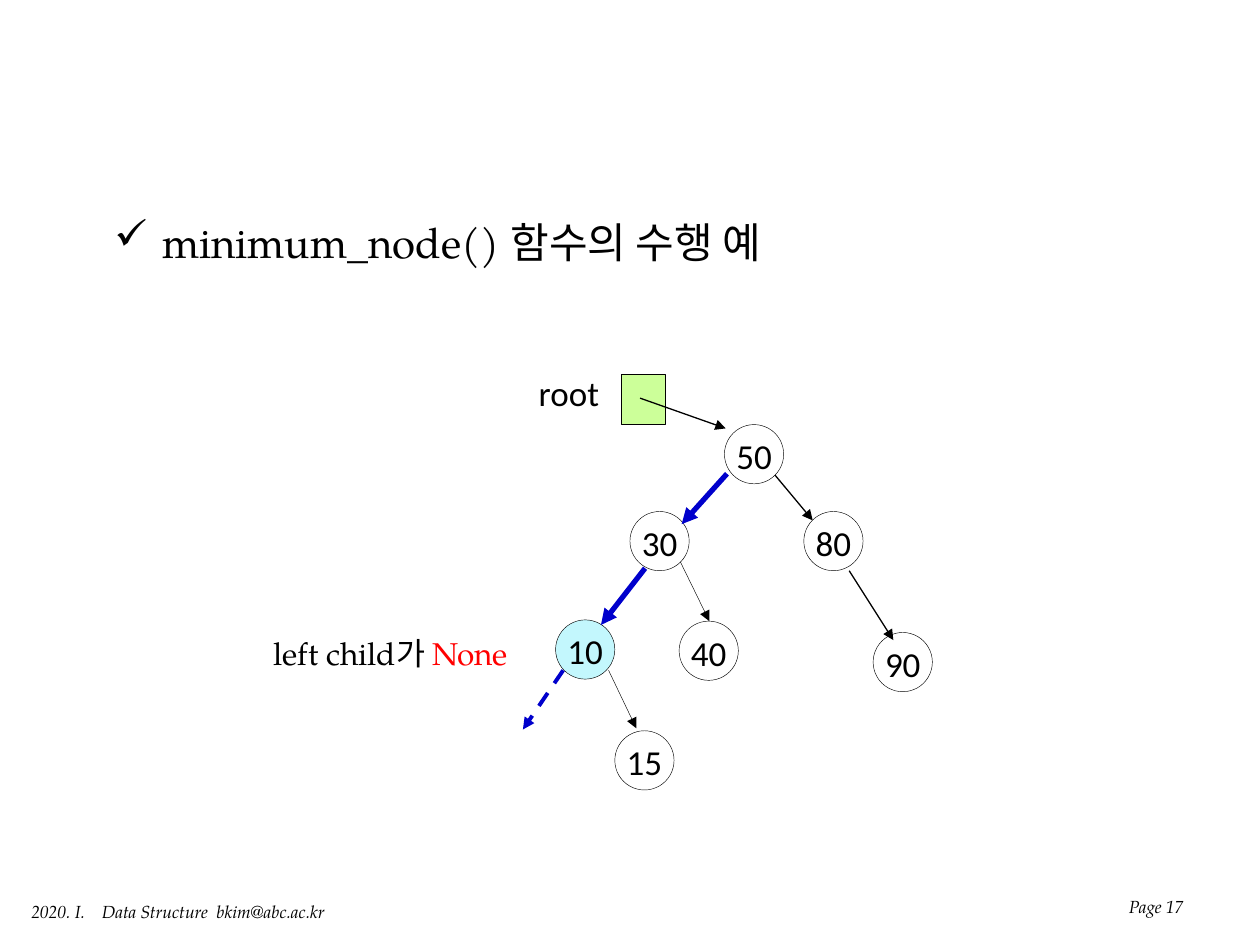
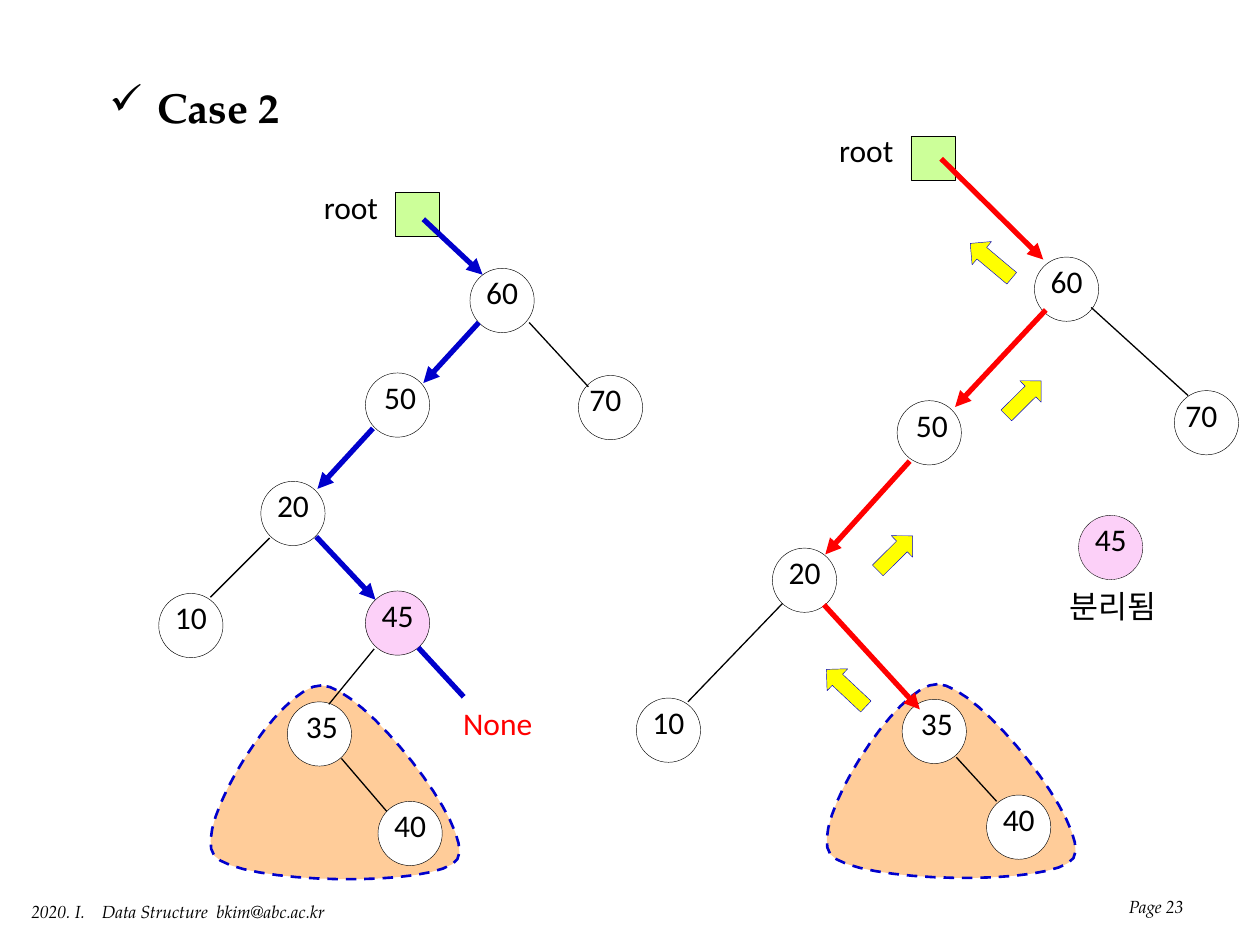
"""Build two slides on binary search trees: finding the minimum and deleting a node."""
from pptx import Presentation
from pptx.dml.color import RGBColor
from pptx.enum.dml import MSO_LINE
from pptx.enum.shapes import MSO_CONNECTOR, MSO_SHAPE
from pptx.enum.text import MSO_ANCHOR, PP_ALIGN
from pptx.oxml.ns import qn
from pptx.util import Pt
from lxml.etree import SubElement

PX = 9144
SLIDE_SIZE = (1000, 750)
SERIF, SANS = "TeX Gyre Pagella", "Calibri"
COLORS = {
    "black": "000000", "white": "FFFFFF", "blue": "0000CC", "red": "FF0000",
    "found": "C3F7FD", "deleted": "FCD0F8", "pointer": "CCFF99",
    "subtree": "FFCC99", "back": "FFFF00", "none": "FF0000",
}
EDGES = {
    "path": dict(color="blue", width=3, arrow=True),
    "relink": dict(color="red", width=3, arrow=True),
    "stub": dict(color="blue", width=3),
    "missing": dict(color="blue", width=2.25, dash=MSO_LINE.DASH, arrow=True),
    "link": dict(color="black", width=0.75),
    "arrow": dict(color="black", width=0.75, arrow=True),
    "thin": dict(color="black", width=0.25, arrow=True),
}
FOOTER = "2020. I.\tData Structure\tbkim@abc.ac.kr"
FOOTER_TABS = (56, 147)
BULLET_INDENT = 38

MINIMUM_LOOK = dict(size=47, label=(55, 44), drop=3, font_size=20, fill=None, shift={},
                    pointer=(35, 40), pointer_line=0.75, root=(-91, -7, 99, 44))
DELETE_LOOK = dict(size=51, label=(59, 40), drop=-1, font_size=18, fill="white",
                   shift={"50": 2, "35": 2, "70": -4},
                   pointer=(35, 35), pointer_line=0.5, root=(-75, -9, 79, 40))

MINIMUM_TREE = dict(
    pointer=(493, 297),
    nodes=[("50", 575, 337), ("80", 638, 406), ("30", 500, 406), ("10", 441, 492, "found"),
           ("40", 539, 493), ("90", 693, 502), ("15", 488, 580)],
    edges=[("arrow", 508, 316, 576, 340), ("path", 577, 376, 541, 416),
           ("arrow", 615, 377, 645, 413), ("path", 512, 451, 477, 496),
           ("thin", 540, 446, 563, 493), ("arrow", 674, 453, 709, 508),
           ("missing", 447, 532, 415, 579), ("thin", 483, 532, 505, 578)],
)
SEARCH_TREE = dict(
    pointer=(314, 153),
    subtree=(255, 544),
    nodes=[("60", 373, 213), ("70", 459, 298), ("50", 290, 296), ("20", 207, 382),
           ("10", 126, 471), ("45", 290, 469, "deleted"), ("35", 228, 557), ("40", 300, 636)],
    edges=[("path", 336, 174, 383, 218), ("path", 380, 256, 336, 304),
           ("link", 420, 256, 467, 307), ("path", 296, 340, 252, 388),
           ("link", 214, 427, 167, 474), ("path", 251, 426, 298, 476),
           ("link", 297, 515, 261, 559), ("stub", 332, 514, 368, 553),
           ("link", 271, 602, 307, 644)],
)
RELINKED_TREE = dict(
    pointer=(723, 108),
    subtree=(744, 543),
    nodes=[("60", 821, 204), ("70", 932, 310), ("50", 712, 318), ("20", 613, 435),
           ("10", 505, 554), ("35", 716, 555), ("40", 783, 631), ("45", 856, 409, "deleted", True)],
    edges=[("relink", 747, 126, 828, 206), ("relink", 830, 246, 758, 323),
           ("link", 866, 244, 943, 314), ("relink", 722, 366, 655, 440),
           ("link", 621, 479, 546, 557), ("relink", 654, 480, 730, 563),
           ("link", 759, 601, 791, 636)],
)
BACK_ARROWS = [(691, 427, 39, 315.2), (793, 304, 39, 315.2),
               (765, 195, 43, 220), (650, 534, 43, 223.2)]
BACK_ARROW_HEIGHT = 24
SUBTREE_CURVES = [((0, 0), (-32, -1), (-103, 112), (-85, 135)),
                  ((-85, 135), (-67, 158), (94, 161), (108, 138)),
                  ((108, 138), (123, 115), (33, 0), (0, 0))]
CURVE_STEPS = 16

SLIDES = [
    dict(page="Page 17", title="minimum_node() 함수의 수행 예", title_at=(81, 167, 548, 50),
         look=MINIMUM_LOOK, trees=[MINIMUM_TREE],
         notes=[((207, 498, 221, 40), [("left child가 ", "black"), ("None", "none")],
                 dict(font=SERIF))]),
    dict(page="Page 23", title="Case 2", title_at=(77, 60, 180, 50), bold=True,
         look=DELETE_LOOK, trees=[SEARCH_TREE, RELINKED_TREE], back_arrows=BACK_ARROWS,
         notes=[((346, 554, 98, 40), [("None", "none")], dict(align=PP_ALIGN.CENTER)),
                ((811, 461, 145, 40), [("분리됨", "black")], dict(align=PP_ALIGN.CENTER))]),
]


def rgb(color):
    return RGBColor.from_string(COLORS[color])


def emu(*lengths):
    return [round(length * PX) for length in lengths]


def add_text(slide, at, text, font=SANS, size=18, align=PP_ALIGN.LEFT, anchor=MSO_ANCHOR.TOP,
             bold=False, italic=False, bullet=None, tabs=()):
    frame = slide.shapes.add_textbox(*emu(*at)).text_frame
    frame.word_wrap = True
    frame.vertical_anchor = anchor
    paragraph = frame.paragraphs[0]
    paragraph.alignment = align
    for words, color in [(text, "black")] if isinstance(text, str) else text:
        run = paragraph.add_run()
        run.text = words
        run.font.name, run.font.size = font, Pt(size)
        run.font.bold, run.font.italic = bold, italic
        run.font.color.rgb = rgb(color)
    properties = paragraph._p.get_or_add_pPr()
    if bullet:
        indent, = emu(BULLET_INDENT)
        properties.set("marL", str(indent))
        properties.set("indent", str(-indent))
        SubElement(properties, qn("a:buChar")).set("char", bullet)
    if tabs:
        stops = SubElement(properties, qn("a:tabLst"))
        for position in emu(*tabs):
            stop = SubElement(stops, qn("a:tab"))
            stop.set("pos", str(position))
            stop.set("algn", "l")


def style_shape(shape, fill, color, width, dash=None):
    shape.shadow.inherit = False
    if fill:
        shape.fill.solid()
        shape.fill.fore_color.rgb = rgb(fill)
    else:
        shape.fill.background()
    style_line(shape.line, color, width, dash)


def style_line(line, color, width, dash=None):
    line.color.rgb = rgb(color)
    line.width = Pt(width)
    if dash:
        line.dash_style = dash


def add_edge(slide, kind, *ends):
    style = dict(EDGES[kind])
    arrow = style.pop("arrow", False)
    edge = slide.shapes.add_connector(MSO_CONNECTOR.STRAIGHT, *emu(*ends))
    style_line(edge.line, **style)
    if arrow:
        SubElement(edge.line._get_or_add_ln(), qn("a:tailEnd")).set("type", "triangle")
    SubElement(edge._element.spPr, qn("a:effectLst"))


def add_node(slide, look, key, x, y, fill=None, detached=False):
    size, (width, height) = look["size"], look["label"]
    circle = slide.shapes.add_shape(MSO_SHAPE.OVAL, *emu(x, y, size, size))
    style_shape(circle, fill or look["fill"], "black", 0.25,
                MSO_LINE.SQUARE_DOT if detached else None)
    left = x + (size - width) / 2 + look["shift"].get(key, 0)
    add_text(slide, (left, y + look["drop"], width, height), key,
             size=look["font_size"], align=PP_ALIGN.CENTER)


def curve_point(curve, t):
    weights = ((1 - t) ** 3, 3 * t * (1 - t) ** 2, 3 * t ** 2 * (1 - t), t ** 3)
    return [sum(w * point[axis] for w, point in zip(weights, curve)) for axis in (0, 1)]


def add_subtree(slide, x, y):
    outline = [emu(x + dx, y + dy) for curve in SUBTREE_CURVES
               for dx, dy in (curve_point(curve, step / CURVE_STEPS)
                              for step in range(1, CURVE_STEPS + 1))]
    builder = slide.shapes.build_freeform(*emu(x, y))
    builder.add_line_segments(outline, close=True)
    style_shape(builder.convert_to_shape(), "subtree", "blue", 1.5, MSO_LINE.DASH)


def add_tree(slide, look, tree):
    if "subtree" in tree:
        add_subtree(slide, *tree["subtree"])
    x, y = tree["pointer"]
    pointer = slide.shapes.add_shape(MSO_SHAPE.RECTANGLE, *emu(x, y, *look["pointer"]))
    style_shape(pointer, "pointer", "black", look["pointer_line"])
    dx, dy, width, height = look["root"]
    add_text(slide, (x + dx, y + dy, width, height), "root",
             size=look["font_size"], align=PP_ALIGN.CENTER)
    for node in tree["nodes"]:
        add_node(slide, look, *node)
    for edge in tree["edges"]:
        add_edge(slide, *edge)


def add_back_arrow(slide, x, y, width, angle):
    arrow = slide.shapes.add_shape(MSO_SHAPE.RIGHT_ARROW, *emu(x, y, width, BACK_ARROW_HEIGHT))
    arrow.rotation = angle
    style_shape(arrow, "back", "blue", 0.25)


def add_slide(deck, content):
    slide = deck.slides.add_slide(deck.slide_layouts[6])
    add_text(slide, (15, 710, 280, 27), FOOTER, font=SERIF, size=10, italic=True,
             tabs=FOOTER_TABS)
    add_text(slide, (767, 683, 182, 50), content["page"], font=SERIF, size=10, italic=True,
             align=PP_ALIGN.RIGHT, anchor=MSO_ANCHOR.BOTTOM)
    add_text(slide, content["title_at"], content["title"], font=SERIF, size=24,
             bold=content.get("bold", False), bullet="✓")
    for tree in content["trees"]:
        add_tree(slide, content["look"], tree)
    for back_arrow in content.get("back_arrows", []):
        add_back_arrow(slide, *back_arrow)
    for at, text, style in content["notes"]:
        add_text(slide, at, text, **style)


def main():
    deck = Presentation()
    deck.slide_width, deck.slide_height = emu(*SLIDE_SIZE)
    for content in SLIDES:
        add_slide(deck, content)
    deck.save("out.pptx")


if __name__ == "__main__":
    main()
